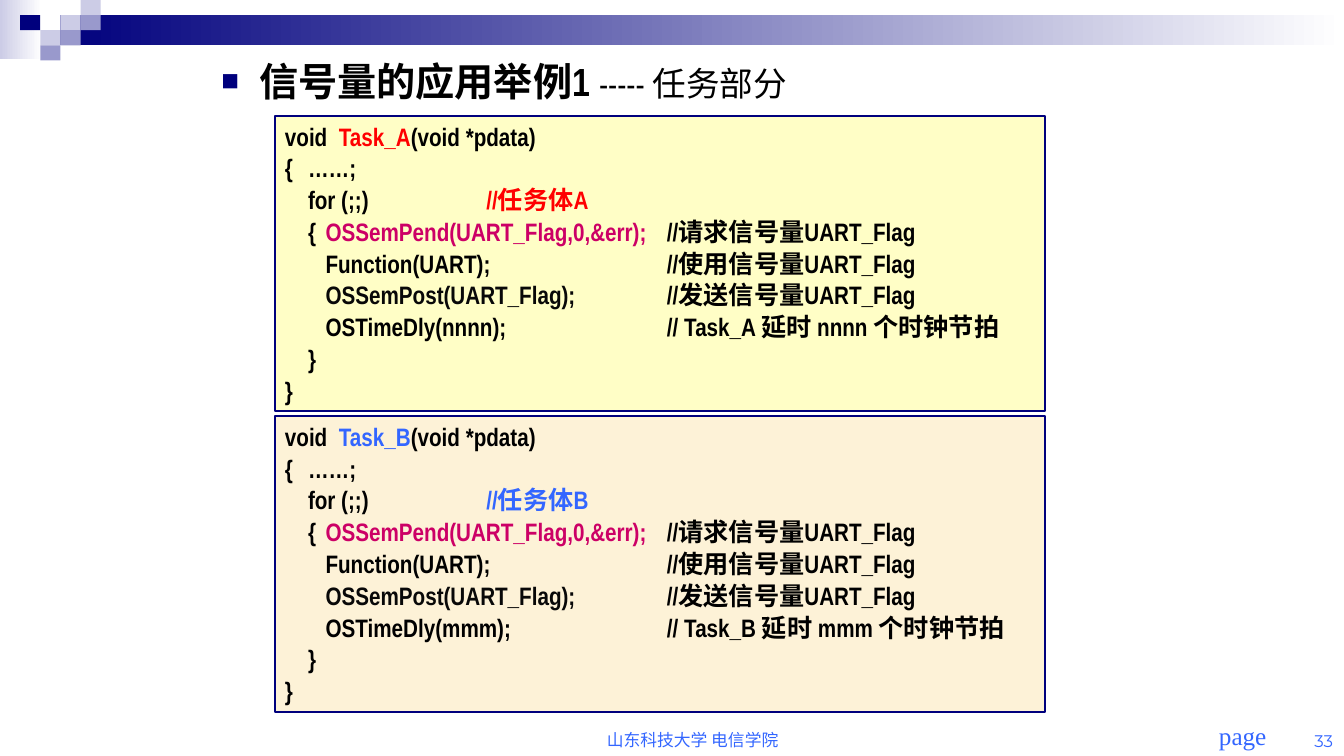
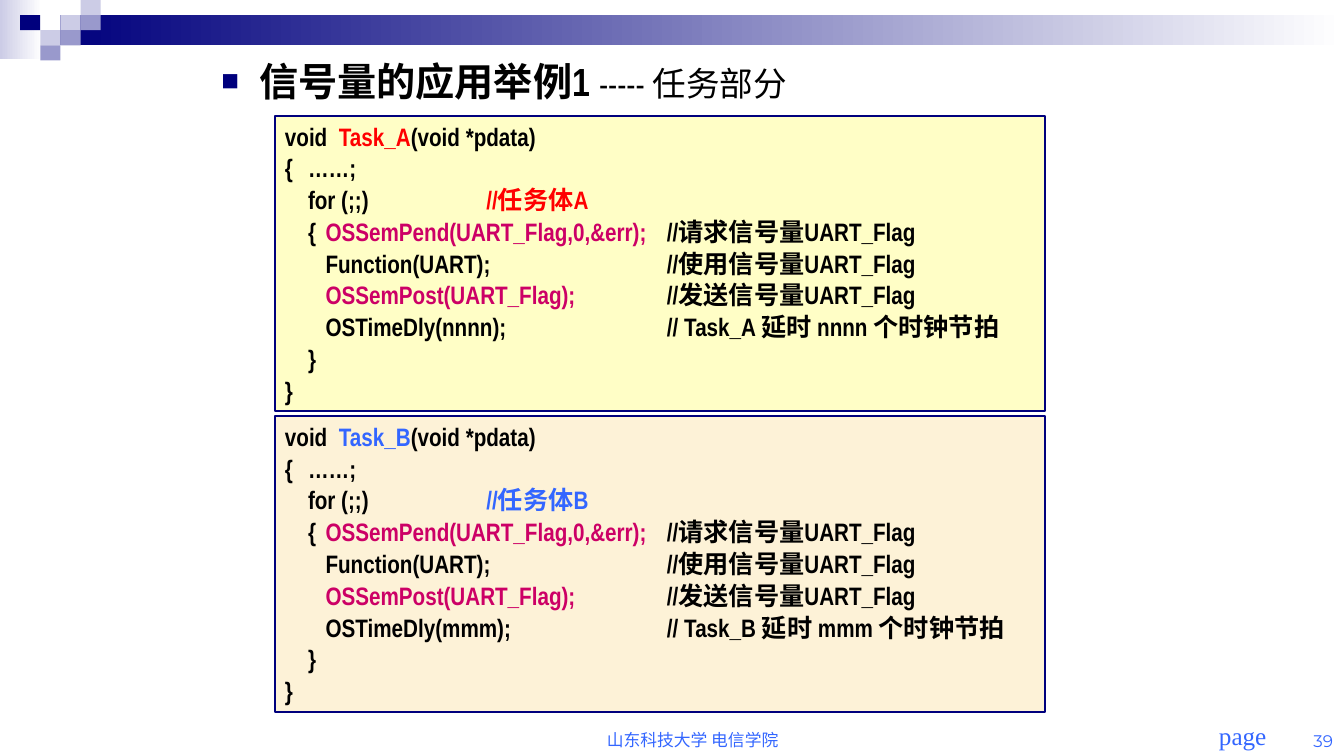
import pptx
import pptx.dml.color
import pptx.enum.shapes
import pptx.enum.text
import pptx.oxml
import pptx.oxml.ns
import pptx.util
from lxml import etree

Pt = pptx.util.Pt
RGBColor = pptx.dml.color.RGBColor
ALIGN = pptx.enum.text.PP_ALIGN
ANCHOR = pptx.enum.text.MSO_ANCHOR

NAVY = RGBColor(0x00, 0x00, 0x7D)
LAVENDER = RGBColor(0xCC, 0xCC, 0xE6)
VIOLET = RGBColor(0x99, 0x99, 0xCC)
WHITE = RGBColor(0xFF, 0xFF, 0xFF)
BLACK = RGBColor(0x00, 0x00, 0x00)
NEAR_BLACK = RGBColor(0x08, 0x08, 0x08)
RED = RGBColor(0xFF, 0x00, 0x00)
BLUE = RGBColor(0x33, 0x66, 0xFF)
MAGENTA = RGBColor(0xCC, 0x00, 0x66)
PALE_YELLOW = RGBColor(0xFF, 0xFE, 0xC6)
PALE_ORANGE = RGBColor(0xFD, 0xF2, 0xD7)

CODE_FONT = "Arial Narrow"
SLIDE_WIDTH, SLIDE_HEIGHT = 960.48, 540
TILE_WIDTH, TILE_HEIGHT = 14.4, 10.8
# column, row, colour
TILES = [
    (3, 1, LAVENDER), (4, 0, LAVENDER), (4, 1, VIOLET), (2, 2, LAVENDER),
    (1, 1, NAVY), (3, 2, VIOLET), (2, 3, VIOLET),
]
BOX_LEFT, BOX_TOP, BOX_WIDTH, BOX_HEIGHT = 196.56, 82.8, 550, 211
BOX_PITCH = 214.56
# two indent levels, task name, loop comment, statement comment
CODE_TABS = (16.5, 29, 38.5, 144, 273)
# task letter, accent, box colour, delay argument
TASKS = [("A", RED, PALE_YELLOW, "nnnn"), ("B", BLUE, PALE_ORANGE, "mmm")]


def add_rectangle(slide, left, top, width, height):
    """Add a rectangle without line or shadow."""
    shape = slide.shapes.add_shape(
        pptx.enum.shapes.MSO_SHAPE.RECTANGLE,
        Pt(left), Pt(top), Pt(width), Pt(height))
    shape.shadow.inherit = False
    shape.line.fill.background()
    return shape


def fill_solid(shape, color):
    shape.fill.solid()
    shape.fill.fore_color.rgb = color


def fill_fading(shape, color):
    """Fade from color to white, left to right."""
    shape.fill.gradient()
    shape.fill.gradient_angle = 0
    for stop, stop_color in zip(shape.fill.gradient_stops, (color, WHITE)):
        stop.color.rgb = stop_color


def add_run(paragraph, text, size, font, color, bold=False):
    run = paragraph.add_run()
    run.text = text
    run.font.size = Pt(size)
    run.font.name = font
    run.font.color.rgb = color
    run.font.bold = bold


def add_text_box(slide, left, top, width, height, anchor=ANCHOR.TOP):
    """Add a wrapping text box and return its first paragraph."""
    box = slide.shapes.add_textbox(Pt(left), Pt(top), Pt(width), Pt(height))
    box.text_frame.word_wrap = True
    box.text_frame.vertical_anchor = anchor
    return box.text_frame.paragraphs[0]


def add_property(parent, tag, **attributes):
    element = etree.SubElement(parent, pptx.oxml.ns.qn(tag))
    for name, value in attributes.items():
        element.set(name, str(value))
    return element


def add_band(slide):
    fill_fading(add_rectangle(slide, 0, 0, 30, 42), LAVENDER)
    band_left = 3 * TILE_WIDTH
    fill_fading(add_rectangle(slide, band_left, TILE_HEIGHT,
                              SLIDE_WIDTH - band_left, 2 * TILE_HEIGHT), NAVY)
    for column, row, color in TILES:
        tile = add_rectangle(slide, column * TILE_WIDTH, row * TILE_HEIGHT,
                             TILE_WIDTH, TILE_HEIGHT)
        fill_solid(tile, color)


def add_footer(slide, number):
    label = add_text_box(slide, 853.92, 511.2, 68.4, 28.8)
    label.alignment = ALIGN.CENTER
    label.space_before = Pt(11.2)
    add_run(label, "page", 18, "Times New Roman", BLUE)
    school = add_text_box(slide, 336.24, 514.08, 317.52, 25.2, ANCHOR.BOTTOM)
    school.alignment = ALIGN.CENTER
    add_run(school, "山东科技大学 电信学院", 12, "Arial", BLUE)
    page = add_text_box(slide, 910.8, 514.8, 49, 25.2, ANCHOR.BOTTOM)
    page.alignment = ALIGN.RIGHT
    add_run(page, str(number), 12, "Montserrat", BLUE)


def add_title(slide):
    paragraph = add_text_box(slide, 151.2, 37.44, 648, 45.36)
    paragraph.space_before = Pt(6)
    properties = paragraph._p.get_or_add_pPr()
    properties.set("marL", str(Pt(27)))
    properties.set("indent", str(-Pt(27)))
    bullet_color = add_property(properties, "a:buClr")
    add_property(bullet_color, "a:srgbClr", val=NAVY)
    add_property(properties, "a:buSzPct", val=75000)
    add_property(properties, "a:buFont", typeface="Arial")
    add_property(properties, "a:buChar", char="■")
    add_run(paragraph, "信号量的应用举例1 ", 28, CODE_FONT, BLACK, bold=True)
    add_run(paragraph, "----- 任务部分", 24, CODE_FONT, BLACK)


def task_code(letter, accent, delay, post_color):
    """Return the lines of a task, each a list of (text, colour)."""
    return [
        [("void\t", BLACK), (f"Task_{letter}", accent),
         ("(void *pdata)", BLACK)],
        [("{\t……;", BLACK)],
        [("\tfor (;;)\t", BLACK), (f"//任务体{letter}", accent)],
        [("\t{\t", BLACK), ("OSSemPend(UART_Flag,0,&err);", MAGENTA),
         ("\t//请求信号量UART_Flag", BLACK)],
        [("\t\tFunction(UART);\t//使用信号量UART_Flag", BLACK)],
        [("\t\t", BLACK), ("OSSemPost(UART_Flag);", post_color),
         ("\t//发送信号量UART_Flag", BLACK)],
        [(f"\t\tOSTimeDly({delay});\t"
          f"// Task_{letter} 延时 {delay} 个时钟节拍", BLACK)],
        [("\t}", BLACK)],
        [("}", BLACK)],
    ]


def add_code_box(slide, top, color, lines):
    box = add_rectangle(slide, BOX_LEFT, top, BOX_WIDTH, BOX_HEIGHT)
    fill_solid(box, color)
    box.line.color.rgb = NAVY
    box.line.width = Pt(1.5)
    frame = box.text_frame
    frame.word_wrap = True
    frame.vertical_anchor = ANCHOR.TOP
    for index, line in enumerate(lines):
        paragraph = frame.add_paragraph() if index else frame.paragraphs[0]
        paragraph.alignment = ALIGN.LEFT
        paragraph.space_before = Pt(1.1)
        tabs = add_property(paragraph._p.get_or_add_pPr(), "a:tabLst")
        for position in CODE_TABS:
            add_property(tabs, "a:tab", pos=int(Pt(position)), algn="l")
        for text, text_color in line:
            add_run(paragraph, text, 18, CODE_FONT, text_color, bold=True)


def add_task_slide(presentation, number, post_color):
    slide = presentation.slides.add_slide(presentation.slide_layouts[6])
    add_band(slide)
    add_footer(slide, number)
    add_title(slide)
    for index, (letter, accent, color, delay) in enumerate(TASKS):
        add_code_box(slide, BOX_TOP + index * BOX_PITCH, color,
                     task_code(letter, accent, delay, post_color))


def main():
    presentation = pptx.Presentation()
    presentation.slide_width = Pt(SLIDE_WIDTH)
    presentation.slide_height = Pt(SLIDE_HEIGHT)
    add_task_slide(presentation, 33, NEAR_BLACK)
    add_task_slide(presentation, 39, MAGENTA)
    presentation.save("out.pptx")


if __name__ == "__main__":
    main()
